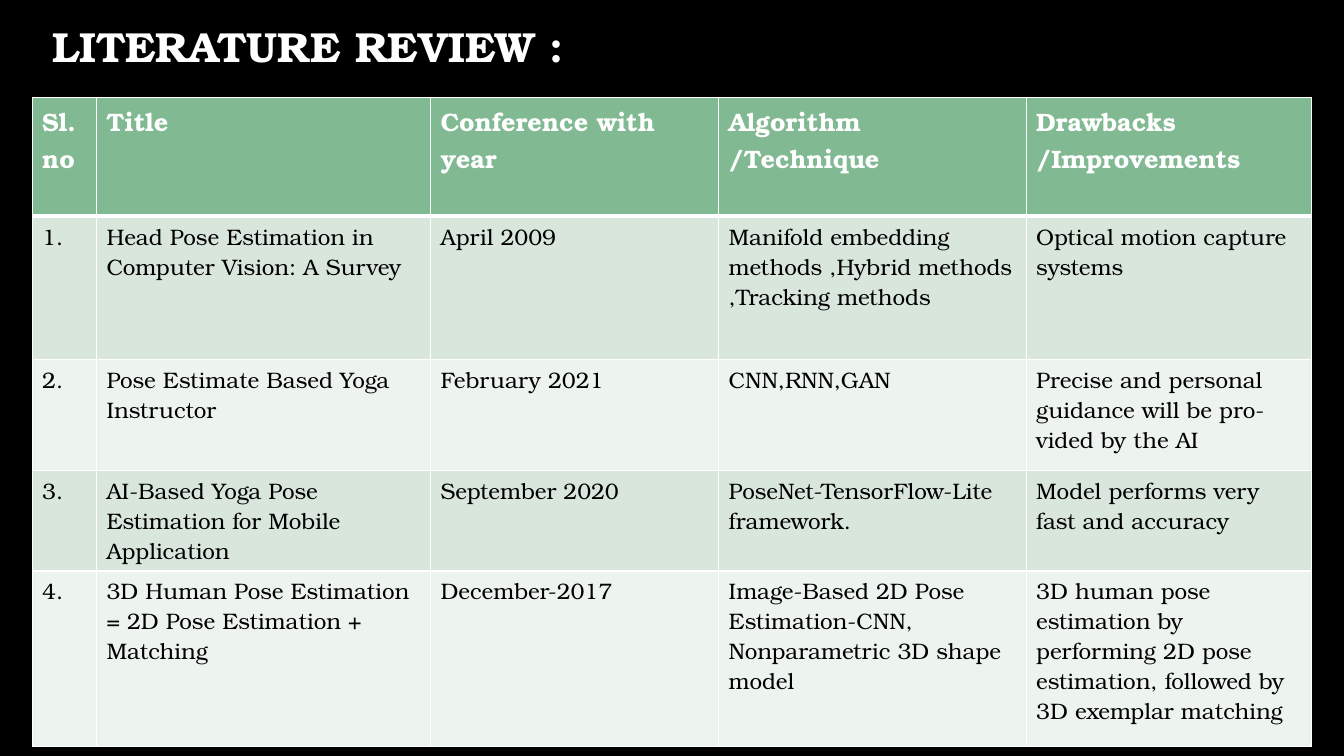
from dataclasses import dataclass

from lxml.etree import SubElement
from pptx import Presentation
from pptx.dml.color import RGBColor
from pptx.enum.text import MSO_ANCHOR
from pptx.oxml.ns import qn
from pptx.util import Cm, Pt


@dataclass(frozen=True)
class Theme:
    font: str = "TeX Gyre Bonum"
    background: str = "000000"
    light: str = "FFFFFF"
    dark: str = "000000"
    header_fill: str = "81B992"
    band_fills: tuple = ("D8E6DC", "EDF3EE")
    title_size: int = 30
    header_size: int = 18
    body_size: int = 16
    thin_line: int = 1
    thick_line: int = 3


class SlideBuilder:
    def __init__(self, slide, theme):
        self.slide = slide
        self.theme = theme

    def background(self):
        fill = self.slide.background.fill
        fill.solid()
        fill.fore_color.rgb = RGBColor.from_string(self.theme.background)

    def format_text(self, text_frame, size, color, bold):
        for paragraph in text_frame.paragraphs:
            for run in paragraph.runs:
                run.font.name = self.theme.font
                run.font.size = Pt(size)
                run.font.bold = bold
                run.font.color.rgb = RGBColor.from_string(color)

    def title(self, text, left, top, width, height):
        shape = self.slide.shapes.add_textbox(Cm(left), Cm(top), Cm(width), Cm(height))
        text_frame = shape.text_frame
        text_frame.word_wrap = True
        text_frame.vertical_anchor = MSO_ANCHOR.MIDDLE
        text_frame.text = text
        text_frame.paragraphs[0].line_spacing = 0.9
        self.format_text(text_frame, self.theme.title_size, self.theme.light, True)

    def cell_borders(self, cell, top, bottom):
        properties = cell._tc.get_or_add_tcPr()
        thin = self.theme.thin_line
        for side, width in (("L", thin), ("R", thin), ("T", top), ("B", bottom)):
            line = SubElement(properties, qn(f"a:ln{side}"), w=str(Pt(width)))
            fill = SubElement(line, qn("a:solidFill"))
            SubElement(fill, qn("a:srgbClr"), val=self.theme.light)

    def table_cell(self, cell, text, row_index):
        theme = self.theme
        is_header = row_index == 0
        # The heavy rule lies between the header and the first body row
        self.cell_borders(
            cell,
            top=theme.thick_line if row_index == 1 else theme.thin_line,
            bottom=theme.thick_line if is_header else theme.thin_line,
        )
        fill = theme.header_fill if is_header else theme.band_fills[(row_index - 1) % 2]
        cell.fill.solid()
        cell.fill.fore_color.rgb = RGBColor.from_string(fill)
        cell.text_frame.text = text
        self.format_text(
            cell.text_frame,
            theme.header_size if is_header else theme.body_size,
            theme.light if is_header else theme.dark,
            is_header,
        )

    def table(self, rows, left, top, column_widths, row_heights):
        table = self.slide.shapes.add_table(
            len(rows), len(column_widths), Cm(left), Cm(top),
            Cm(sum(column_widths)), Cm(sum(row_heights)),
        ).table
        table.horz_banding = False
        for column, width in zip(table.columns, column_widths):
            column.width = Cm(width)
        for row, height in zip(table.rows, row_heights):
            row.height = Cm(height)
        for row_index, texts in enumerate(rows):
            for column_index, text in enumerate(texts):
                self.table_cell(table.cell(row_index, column_index), text, row_index)


HEADER = ("Sl.no", "Title", "Conference with year",
          "Algorithm /Technique", "Drawbacks /Improvements")
PAPERS = (
    ("Head Pose Estimation in Computer Vision: A Survey", "April 2009",
     "Manifold embedding methods ,Hybrid methods ,Tracking methods",
     "Optical motion capture systems"),
    ("Pose Estimate Based Yoga Instructor", "February 2021", "CNN,RNN,GAN",
     "Precise and personal guidance will be pro- vided by the AI"),
    ("AI-Based Yoga Pose Estimation for Mobile Application", "September 2020",
     "PoseNet-TensorFlow-Lite framework.",
     "Model performs very fast and accuracy"),
    ("3D Human Pose Estimation = 2D Pose Estimation + Matching", "December-2017",
     "Image-Based 2D Pose Estimation-CNN, Nonparametric 3D shape model",
     "3D human pose estimation by performing 2D pose estimation, "
     "followed by 3D exemplar matching"),
)


def main():
    presentation = Presentation()
    presentation.slide_width = Cm(33.87)
    presentation.slide_height = Cm(19.05)
    slide = presentation.slides.add_slide(presentation.slide_layouts[6])
    builder = SlideBuilder(slide, Theme())

    # Background and heading
    builder.background()
    builder.title("LITERATURE REVIEW :", left=1.07, top=0, width=29.74, height=2.45)

    # Numbered table of reviewed papers
    numbered = [(f"{number}.", *paper) for number, paper in enumerate(PAPERS, start=1)]
    builder.table(
        [HEADER, *numbered], left=0.81, top=2.45,
        column_widths=(1.62, 8.42, 7.26, 7.75, 7.19),
        row_heights=(3, 3.61, 2.8, 2.53, 4.42),
    )
    presentation.save("out.pptx")


if __name__ == "__main__":
    main()
